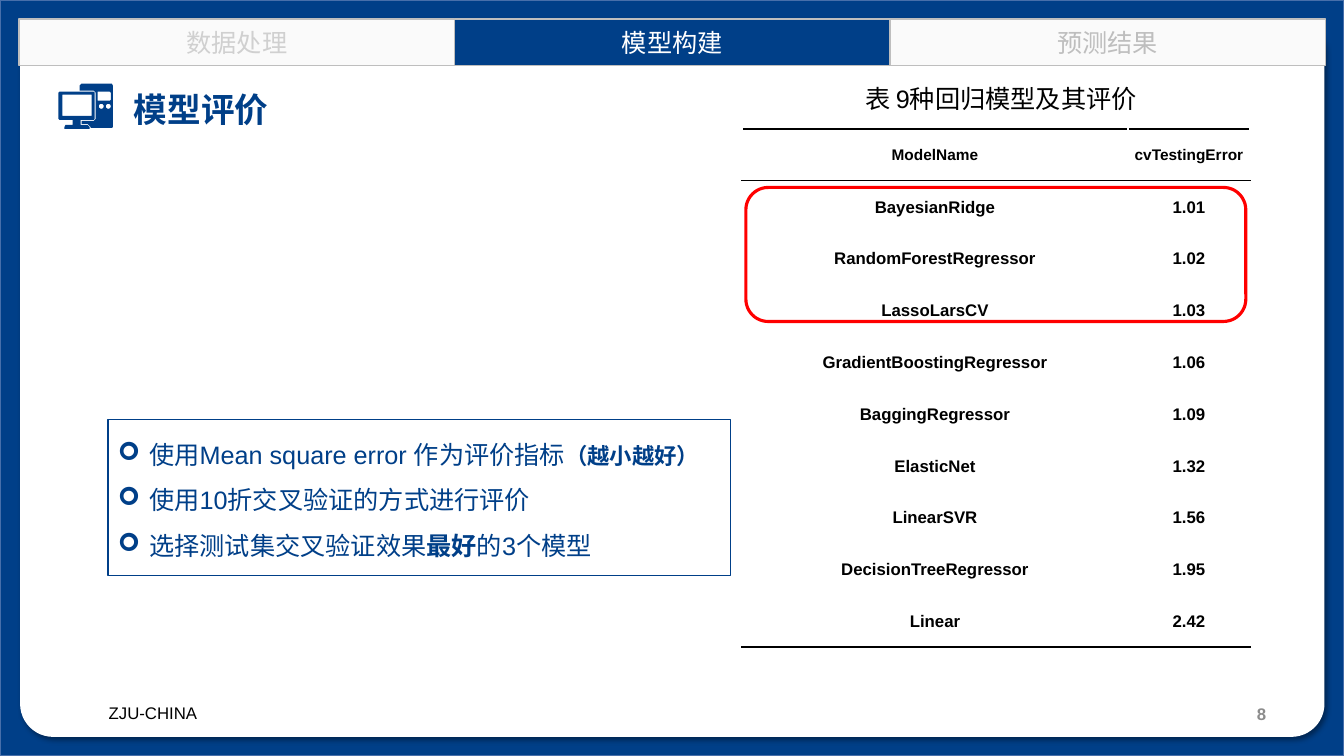
import math

import pptx
import pptx.dml.color
import pptx.enum.shapes
import pptx.enum.text
import pptx.oxml
import pptx.oxml.ns
import pptx.util

Pt = pptx.util.Pt
ALIGN = pptx.enum.text.PP_ALIGN
MID = pptx.enum.text.MSO_ANCHOR.MIDDLE
FORM = pptx.enum.shapes.MSO_SHAPE
NS = pptx.oxml.ns.nsdecls("a")

HUES = {
    "navy": "003F88", "edge": "476FAA", "white": "FFFFFF", "black": "000000",
    "pale": "FAFAFA", "rim": "BEBEBE", "dim": "D0D0D0", "red": "FF0000",
    "grey": "8C8C8C",
}

TABS = [
    ("数据处理", "pale", "dim"),
    ("模型构建", "navy", "white"),
    ("预测结果", "pale", "rim"),
]

POINTS = [
    [("使用Mean square error 作为评价指标", 18, False), ("（越小越好）", 16, True)],
    [("使用10折交叉验证的方式进行评价", 18, False)],
    [("选择测试集交叉验证效果", 18, False), ("最好", 18, True), ("的3个模型", 18, False)],
]

SCORES = [
    ("ModelName", "cvTestingError"),
    ("BayesianRidge", "1.01"),
    ("RandomForestRegressor", "1.02"),
    ("LassoLarsCV", "1.03"),
    ("GradientBoostingRegressor", "1.06"),
    ("BaggingRegressor", "1.09"),
    ("ElasticNet", "1.32"),
    ("LinearSVR", "1.56"),
    ("DecisionTreeRegressor", "1.95"),
    ("Linear", "2.42"),
]

SCREEN = [
    [(87, 124), (80, 124), (80, 119), (93, 119), (94, 118), (94, 92), (93, 91),
     (59, 91), (58, 92), (58, 118), (59, 119), (72, 119), (72, 124), (65, 124),
     (64, 126), (64, 128), (89, 128), (89, 126)],
    [(62, 115), (62, 94), (91, 94), (91, 115)],
]

TOWER = [
    [(111, 83), (81, 83), (79, 85), (79, 90), (93, 90), (95, 92), (95, 118),
     (93, 120), (81, 120), (81, 123), (87, 123), (90, 126), (90, 127),
     (111, 127), (112, 126), (112, 85)],
    [(110, 99), (109, 100), (97, 100), (97, 91), (109, 91), (110, 92)],
]


def tint(name):
    return pptx.dml.color.RGBColor.from_string(HUES[name])


def style(thing, form):
    for key, value in form.items():
        setattr(thing, key, value)


def paint(shape, fill=None, line=None, width=1):
    shape.shadow.inherit = False
    if fill:
        shape.fill.solid()
        shape.fill.fore_color.rgb = tint(fill)
    else:
        shape.fill.background()
    if line:
        shape.line.color.rgb = tint(line)
        shape.line.width = Pt(width)
    else:
        shape.line.fill.background()


def write(para, text, size, hue, bold=False):
    run = para.add_run()
    style(run, {"text": text})
    style(run.font, {"size": Pt(size), "bold": bold, "name": "Arial"})
    run.font.color.rgb = tint(hue)


def block(slide, box, fill=None, line=None, width=1, kind=FORM.RECTANGLE):
    shape = slide.shapes.add_shape(kind, *map(Pt, box))
    paint(shape, fill, line, width)
    return shape


def label(slide, box, text, size, hue, bold=False, align=ALIGN.LEFT, anchor=None):
    frame = slide.shapes.add_textbox(*map(Pt, box)).text_frame
    style(frame, {"word_wrap": True, "vertical_anchor": anchor})
    frame.paragraphs[0].alignment = align
    write(frame.paragraphs[0], text, size, hue, bold)


def panel(slide):
    block(slide, (0, 0, 960, 540), "navy", "edge")
    card = block(slide, (14.4, 13.68, 931.68, 512.64), "white", kind=FORM.ROUNDED_RECTANGLE)
    card.adjustments[0] = 0.046
    glow = pptx.oxml.parse_xml(
        f'<a:outerShdw {NS} blurRad="{Pt(4)}" dist="{Pt(3)}" dir="2700000" algn="tl" '
        f'rotWithShape="0"><a:srgbClr val="{HUES["black"]}"><a:alpha val="40000"/>'
        '</a:srgbClr></a:outerShdw>')
    card._element.spPr.find(pptx.oxml.ns.qn("a:effectLst")).append(glow)


def tabs(slide):
    wide = 311
    for spot, (text, fill, hue) in enumerate(TABS):
        box = (13.68 + spot * wide, 13.68, wide, 33.12)
        frame = block(slide, box, fill, "rim").text_frame
        frame.vertical_anchor = MID
        frame.paragraphs[0].alignment = ALIGN.CENTER
        write(frame.paragraphs[0], text, 18, hue)


def ring(mid, high, size=2.5, sides=16):
    turns = [2 * math.pi * step / sides for step in range(sides)]
    return [(mid + size * math.cos(turn), high + size * math.sin(turn)) for turn in turns]


def icon(slide, loops):
    loops = [[(round(x * 72), round(y * 72)) for x, y in loop] for loop in loops]
    pen = slide.shapes.build_freeform(*loops[0][0], scale=Pt(0.01))
    for spot, loop in enumerate(loops):
        if spot:
            pen.move_to(*loop[0])
        pen.add_line_segments(loop[1:], close=True)
    paint(pen.convert_to_shape(), "navy")


def notes(slide):
    frame = block(slide, (77.04, 299.52, 444.96, 111.6), line="navy").text_frame
    style(frame, {"word_wrap": True, "vertical_anchor": pptx.enum.text.MSO_ANCHOR.TOP})
    for spot, parts in enumerate(POINTS):
        para = frame.add_paragraph() if spot else frame.paragraphs[0]
        style(para, {"alignment": ALIGN.LEFT, "line_spacing": 1.5})
        props = para._p.get_or_add_pPr()
        props.set("marL", str(Pt(22.5)))
        props.set("indent", str(-Pt(22.5)))
        props.append(pptx.oxml.parse_xml(f'<a:buFont {NS} typeface="Wingdings"/>'))
        props.append(pptx.oxml.parse_xml(f'<a:buChar {NS} char="➢"/>'))
        for text, size, bold in parts:
            write(para, text, size, "navy", bold)


def edge(cell, side, hue, width):
    cell._tc.get_or_add_tcPr().append(pptx.oxml.parse_xml(
        f'<a:ln{side} {NS} w="{Pt(width)}"><a:solidFill><a:srgbClr val="{HUES[hue]}"/>'
        f'</a:solidFill></a:ln{side}>'))


def scores(slide):
    count = len(SCORES)
    table = slide.shapes.add_table(count, 2, Pt(530), Pt(92.16), Pt(363), Pt(370)).table
    style(table, {"first_row": False, "horz_banding": False})
    for col, wide in zip(table.columns, (275.76, 87.12)):
        col.width = Pt(wide)
    rules = {0: ("black", 1.5), 1: ("black", 1), count: ("black", 1.5)}
    plain = ("white", 1)
    inset = {"margin_left": Pt(0.72), "margin_right": Pt(0.72), "margin_top": Pt(0.72),
             "margin_bottom": 0, "vertical_anchor": MID}
    for row, pair in enumerate(SCORES):
        table.rows[row].height = Pt(37)
        for col, text in enumerate(pair):
            cell = table.cell(row, col)
            style(cell, inset)
            edge(cell, "L", *plain)
            edge(cell, "R", *plain)
            edge(cell, "T", *rules.get(row, plain))
            edge(cell, "B", *rules.get(row + 1, plain))
            cell.fill.solid()
            cell.fill.fore_color.rgb = tint("white")
            para = cell.text_frame.paragraphs[0]
            para.alignment = ALIGN.CENTER
            write(para, text, 12 if row else 11, "black", True)


def main():
    deck = pptx.Presentation()
    style(deck, {"slide_width": Pt(960), "slide_height": Pt(540)})
    slide = deck.slides.add_slide(deck.slide_layouts[6])
    panel(slide)
    label(slide, (70.56, 498.24, 84.24, 23.76), "ZJU-CHINA", 12, "black")
    notes(slide)
    scores(slide)
    block(slide, (532.8, 133.92, 357.12, 95.76), line="red", width=2.25,
          kind=FORM.ROUNDED_RECTANGLE)
    tabs(slide)
    label(slide, (88.56, 59.76, 137.52, 36), "模型评价", 24, "navy", True)
    icon(slide, SCREEN)
    icon(slide, TOWER + [ring(100.5, 105.5), ring(107.5, 105.5)])
    label(slide, (699.12, 497.52, 212.4, 25.2), "8", 12, "grey", True, ALIGN.RIGHT, MID)
    label(slide, (578.88, 56.16, 272.16, 32.4), "表 9种回归模型及其评价", 18, "black",
          align=ALIGN.CENTER)
    deck.save("out.pptx")


if __name__ == "__main__":
    main()
